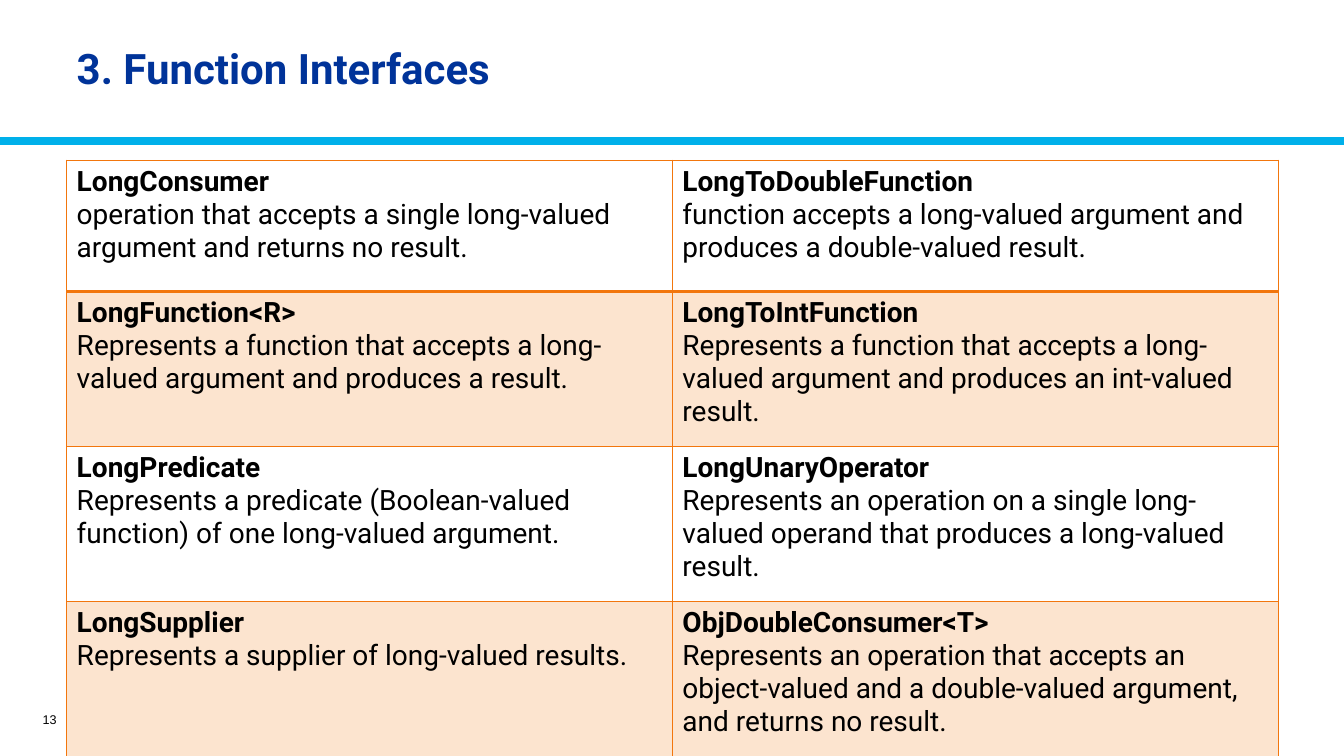
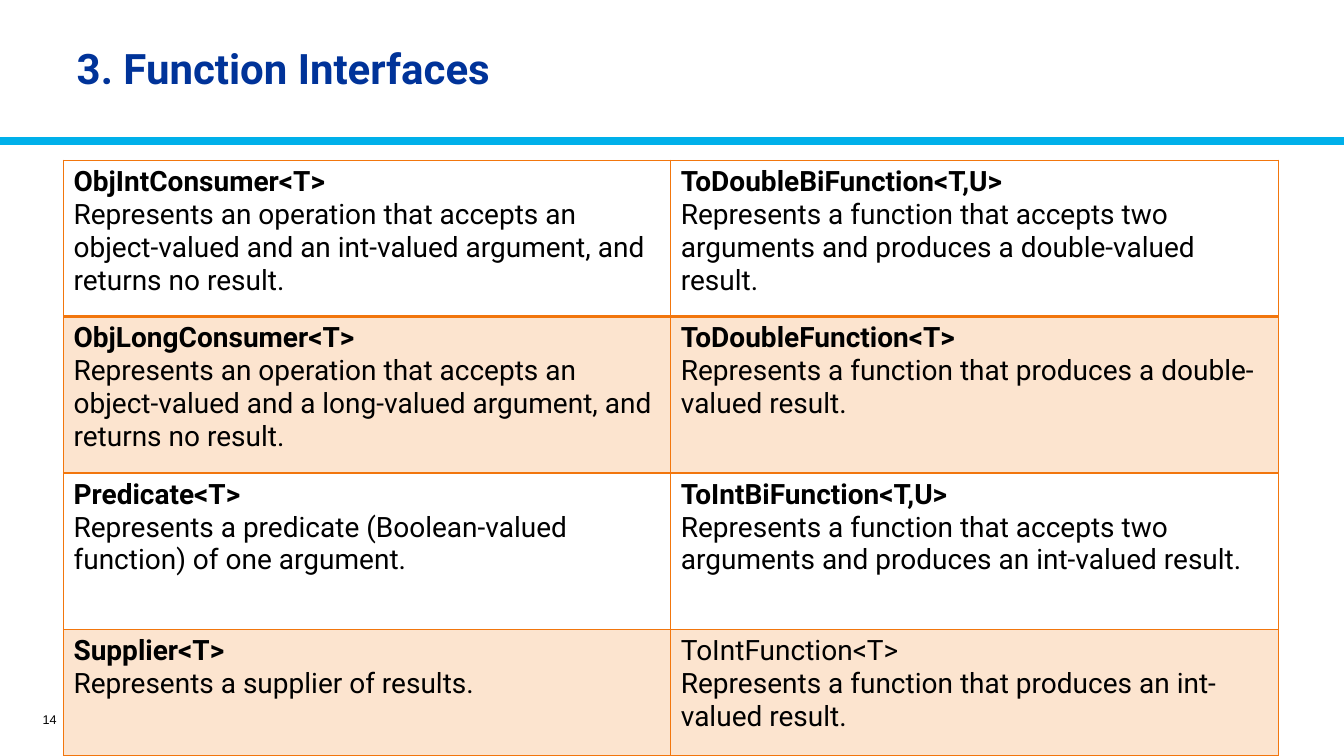
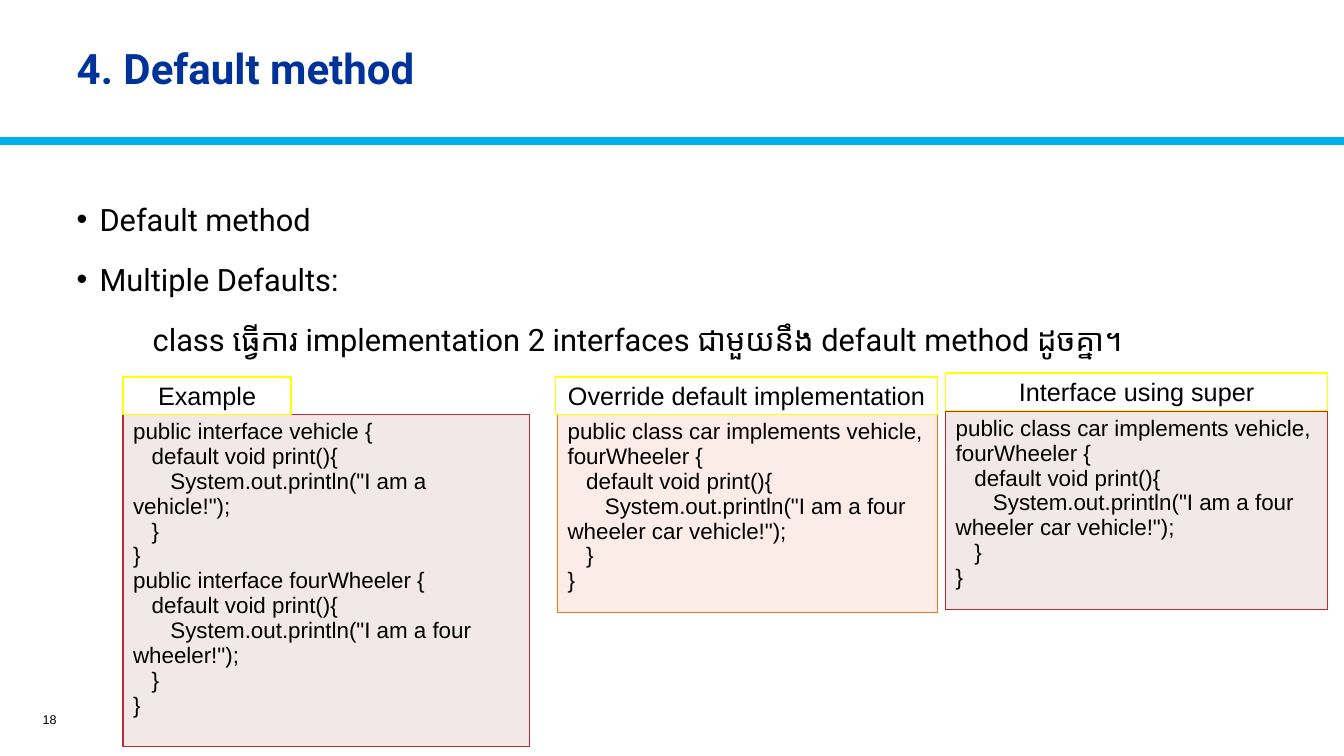
from lxml.etree import SubElement
from pptx import Presentation
from pptx.dml.color import RGBColor
from pptx.enum.shapes import MSO_CONNECTOR, MSO_SHAPE
from pptx.enum.text import MSO_ANCHOR, MSO_AUTO_SIZE, PP_ALIGN
from pptx.oxml.ns import qn
from pptx.util import Cm, Pt

BLACK = RGBColor(0x00, 0x00, 0x00)
WHITE = RGBColor(0xFF, 0xFF, 0xFF)
NAVY = RGBColor(0x00, 0x33, 0x99)
CYAN = RGBColor(0x00, 0xB0, 0xEA)
ORANGE = RGBColor(0xF2, 0x76, 0x0D)
PALE_ORANGE = RGBColor(0xFC, 0xE4, 0xCF)
RED = RGBColor(0xBB, 0x2B, 0x35)
PALE_RED = RGBColor(0xF3, 0xE8, 0xE8)
PEACH = RGBColor(0xFC, 0xEC, 0xE7)
YELLOW = RGBColor(0xFF, 0xFF, 0x00)

SLIDE_W, SLIDE_H = 33.87, 19.05
TABLE_TOP = 4.04
CODE_STEP = 0.47

LONG_INTERFACES = [
    [("LongConsumer", "operation that accepts a single long-valued argument and returns no result."),
     ("LongToDoubleFunction", "function accepts a long-valued argument and produces a double-valued result.")],
    [("LongFunction<R>", "Represents a function that accepts a long-valued argument and produces a result."),
     ("LongToIntFunction",
      "Represents a function that accepts a long-valued argument and produces an int-valued result.")],
    [("LongPredicate", "Represents a predicate (Boolean-valued function) of one long-valued argument."),
     ("LongUnaryOperator",
      "Represents an operation on a single long-valued operand that produces a long-valued result.")],
    [("LongSupplier", "Represents a supplier of long-valued results."),
     ("ObjDoubleConsumer<T>",
      "Represents an operation that accepts an object-valued and a double-valued argument, "
      "and returns no result.")],
]
OBJ_INTERFACES = [
    [("ObjIntConsumer<T>",
      "Represents an operation that accepts an object-valued and an int-valued argument, and returns no result."),
     ("ToDoubleBiFunction<T,U>",
      "Represents a function that accepts two arguments and produces a double-valued result.")],
    [("ObjLongConsumer<T>",
      "Represents an operation that accepts an object-valued and a long-valued argument, and returns no result."),
     ("ToDoubleFunction<T>", "Represents a function that produces a double-valued result.")],
    [("Predicate<T>", "Represents a predicate (Boolean-valued function) of one argument."),
     ("ToIntBiFunction<T,U>",
      "Represents a function that accepts two arguments and produces an int-valued result.")],
    [("Supplier<T>", "Represents a supplier of results."),
     ("ToIntFunction<T>", "Represents a function that produces an int-valued result.")],
]


def print_block(declaration, message):
    """Java type with one default print method, as (level, line) pairs."""
    return [(0, declaration + " {"), (1, "default void print(){"),
            (2, f'System.out.println("{message}");'), (1, "}"), (0, "}")]


VEHICLES = (print_block("public interface vehicle", "I am a vehicle!")
            + print_block("public interface fourWheeler", "I am a four wheeler!"))
CAR = print_block("public class car implements vehicle, fourWheeler", "I am a four wheeler car vehicle!")


def write(tf, text, first=False, size=20, font="Roboto", color=BLACK, bold=False,
          align=PP_ALIGN.LEFT, before=0, left=0, indent=0, bullet=None, spacing=None):
    """Put text in the first or in a new paragraph; indents are in centimetres."""
    p = tf.paragraphs[0] if first else tf.add_paragraph()
    p.alignment = align
    p.space_before = Pt(before)
    if spacing:
        p.line_spacing = spacing
    pPr = p._p.get_or_add_pPr()
    pPr.set("marL", str(Cm(left)))
    pPr.set("indent", str(Cm(indent)))
    if bullet:
        SubElement(pPr, qn("a:buFont"), typeface="Arial")
        SubElement(pPr, qn("a:buChar"), char=bullet)
    r = p.add_run()
    r.text = text
    r.font.size = Pt(size)
    r.font.name = font
    r.font.bold = bold
    r.font.color.rgb = color


def set_border(cell, color, **widths):
    """Draw the four cell edges, 1 pt unless L, R, T or B says otherwise."""
    tcPr = cell._tc.get_or_add_tcPr()
    for side in "LRTB":
        ln = SubElement(tcPr, qn(f"a:ln{side}"), w=str(Pt(widths.get(side, 1))))
        SubElement(SubElement(ln, qn("a:solidFill")), qn("a:srgbClr"), val=str(color))


class Deck:
    def __init__(self):
        self.prs = Presentation()
        self.prs.slide_width, self.prs.slide_height = Cm(SLIDE_W), Cm(SLIDE_H)
        self.slide = None

    def new_slide(self, title, number):
        self.slide = self.prs.slides.add_slide(self.prs.slide_layouts[5])
        sp = self.slide.shapes.title
        sp.left, sp.top, sp.width, sp.height = Cm(1.68), Cm(0.38), Cm(30.53), Cm(2.82)
        tf = sp.text_frame
        tf.auto_size = MSO_AUTO_SIZE.NONE
        tf.vertical_anchor = MSO_ANCHOR.MIDDLE
        write(tf, title, first=True, size=30, color=NAVY, bold=True, spacing=0.9)
        self.rule(3.56)
        tf = self.text_box(0.23, 17.75, 1.45, 0.76)
        tf.vertical_anchor = MSO_ANCHOR.MIDDLE
        write(tf, str(number), first=True, size=9, font="Arial", align=PP_ALIGN.RIGHT)

    def rule(self, y):
        line = self.slide.shapes.add_connector(MSO_CONNECTOR.STRAIGHT, 0, Cm(y), Cm(SLIDE_W), Cm(y))
        line.line.color.rgb = CYAN
        line.line.width = Pt(6)
        SubElement(line._element.spPr, qn("a:effectLst"))

    def text_box(self, x, y, w, h):
        tf = self.slide.shapes.add_textbox(Cm(x), Cm(y), Cm(w), Cm(h)).text_frame
        tf.word_wrap = True
        return tf

    def table(self, x, y, w, heights, cols):
        frame = self.slide.shapes.add_table(len(heights), cols, Cm(x), Cm(y), Cm(w), Cm(sum(heights)))
        table = frame.table
        table.first_row = table.horz_banding = False
        for row, height in zip(table.rows, heights):
            row.height = Cm(height)
        return table

    def interface_table(self, x, w, heights, rows, plain=()):
        """Two-column table of (name, description); names in plain are not bold."""
        table = self.table(x, TABLE_TOP, w, heights, 2)
        for i, row in enumerate(rows):
            for j, (name, description) in enumerate(row):
                cell = table.cell(i, j)
                set_border(cell, ORANGE, T=2 if i == 1 else 1, B=2 if i == 0 else 1)
                if i % 2:
                    cell.fill.solid()
                    cell.fill.fore_color.rgb = PALE_ORANGE
                else:
                    cell.fill.background()
                write(cell.text_frame, name, first=True, bold=name not in plain)
                write(cell.text_frame, description)

    def code_box(self, x, y, w, h, lines, fill, border):
        cell = self.table(x, y, w, [h], 1).cell(0, 0)
        set_border(cell, border)
        cell.fill.solid()
        cell.fill.fore_color.rgb = fill
        for i, (level, line) in enumerate(lines):
            write(cell.text_frame, line, first=i == 0, size=16, font="Arial", indent=level * CODE_STEP)

    def label(self, x, y, w, text):
        sp = self.slide.shapes.add_shape(MSO_SHAPE.RECTANGLE, Cm(x), Cm(y), Cm(w), Cm(0.94))
        sp.shadow.inherit = False
        sp.fill.solid()
        sp.fill.fore_color.rgb = WHITE
        sp.line.color.rgb = YELLOW
        sp.line.width = Pt(1)
        tf = sp.text_frame
        tf.word_wrap = True
        tf.vertical_anchor = MSO_ANCHOR.MIDDLE
        write(tf, text, first=True, size=18, font="Arial", align=PP_ALIGN.CENTER)


def main():
    deck = Deck()

    deck.new_slide("3. Function Interfaces", 13)
    deck.interface_table(1.68, 30.53, [3.3] + [3.91] * 3, LONG_INTERFACES)

    deck.new_slide("3. Function Interfaces", 14)
    deck.interface_table(1.6, 30.61, [3.94] * 3 + [3.18], OBJ_INTERFACES, plain=("ToIntFunction<T>",))

    deck.new_slide("4. Default method", 18)
    tf = deck.text_box(1.68, 4.93, 30.61, 11.99)
    for i, text in enumerate(["Default method", "Multiple Defaults:"]):
        write(tf, text, first=i == 0, size=22, before=16.5, left=0.58, indent=-0.58, bullet="•")
    write(tf, "class ធ្វើការ implementation 2 interfaces ជាមួយនឹង default method ដូចគ្នា។",
          size=22, before=16.5, left=1.92)
    deck.code_box(3.1, 10.44, 10.24, 7.75, VEHICLES, PALE_RED, RED)
    deck.code_box(14.05, 10.44, 9.58, 4.62, CAR, PEACH, ORANGE)
    deck.code_box(23.83, 10.36, 9.63, 4.62, CAR, PALE_RED, RED)
    deck.label(3.1, 9.5, 4.24, "Example")
    deck.label(14, 9.5, 9.63, "Override default implementation")
    deck.label(23.83, 9.4, 9.63, "Interface using super")

    deck.prs.save("out.pptx")


if __name__ == "__main__":
    main()
